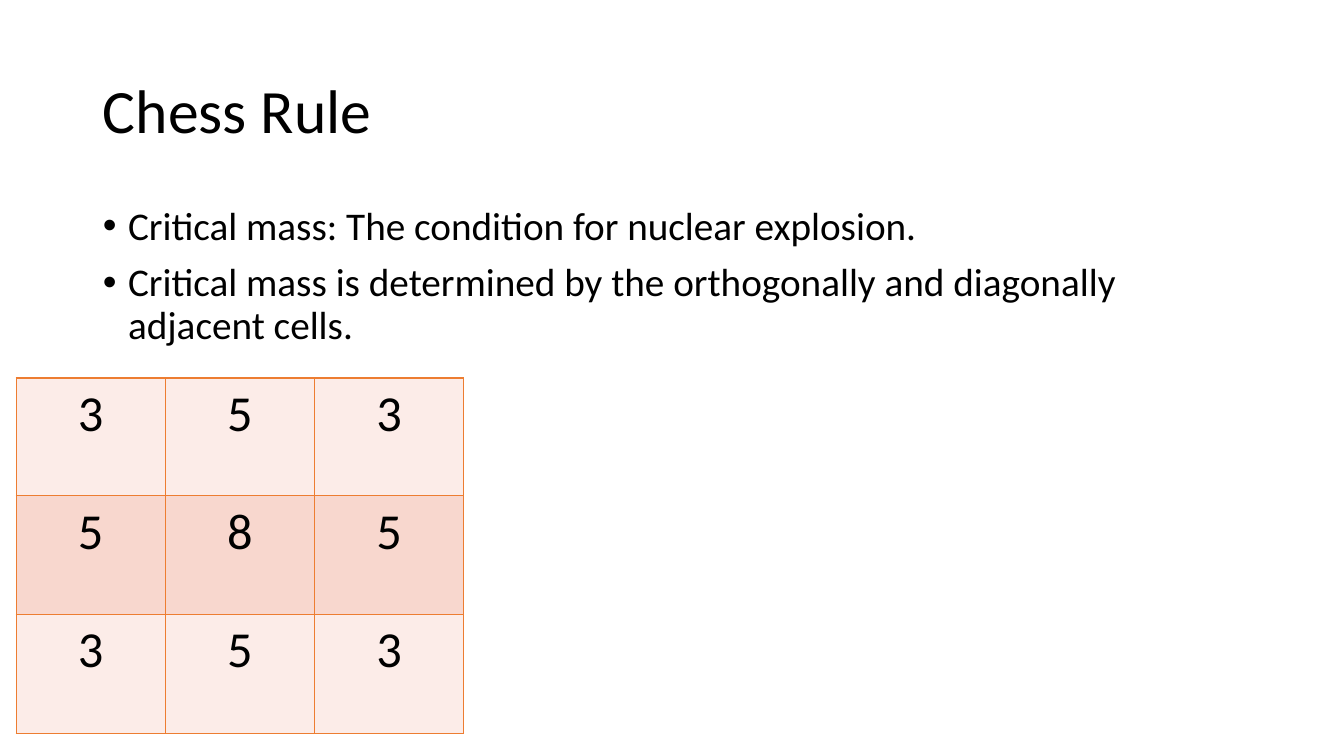
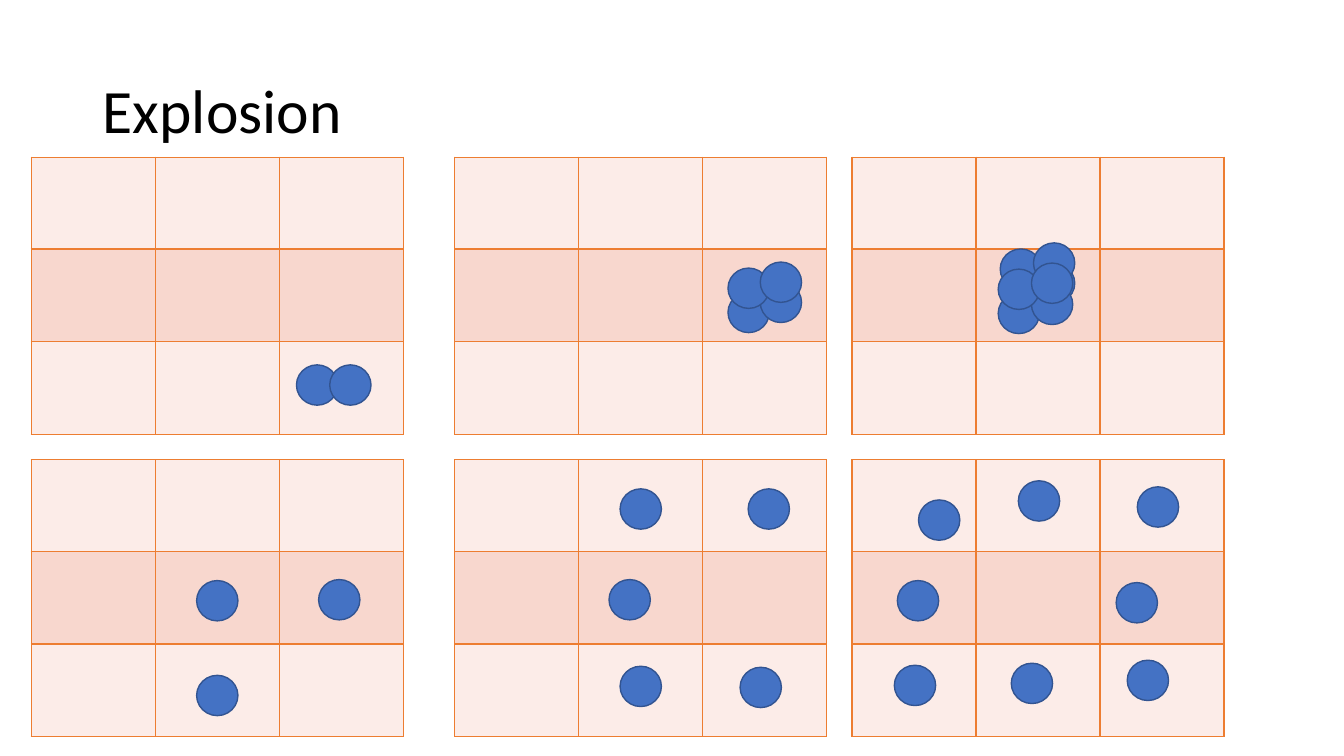
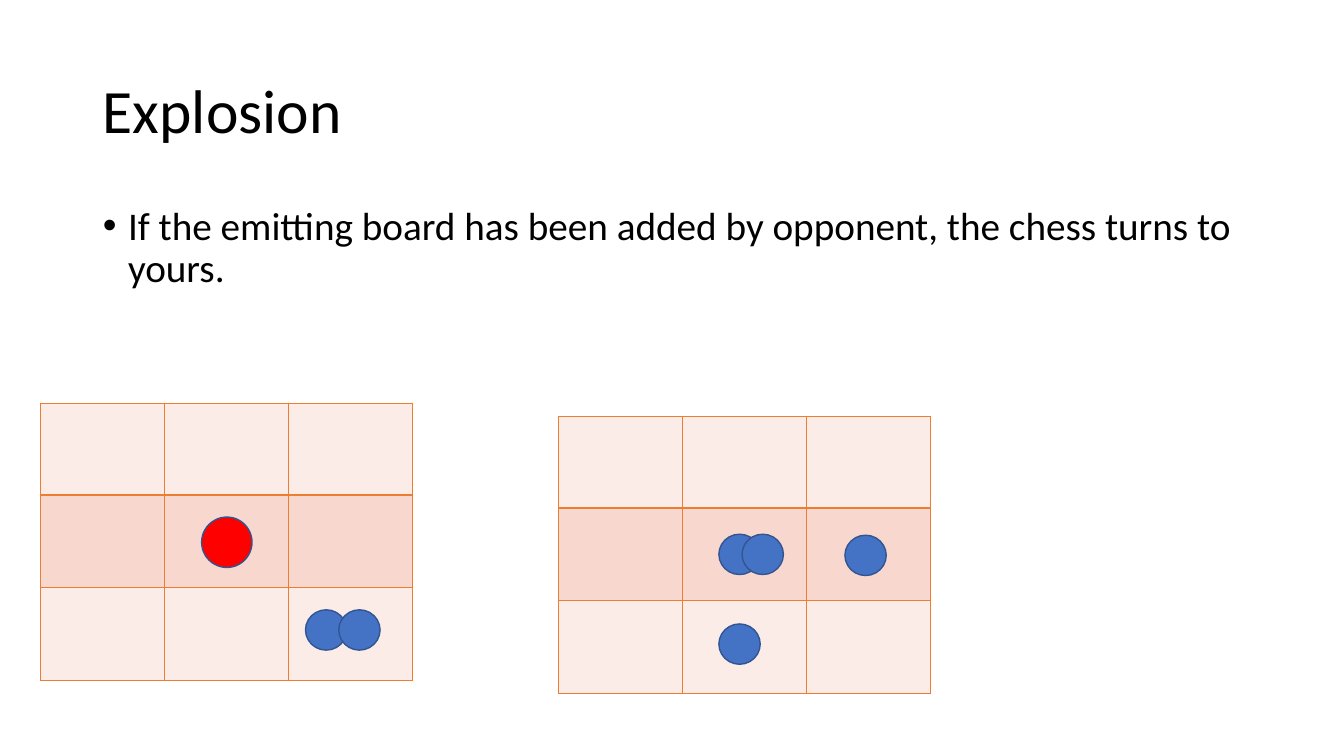
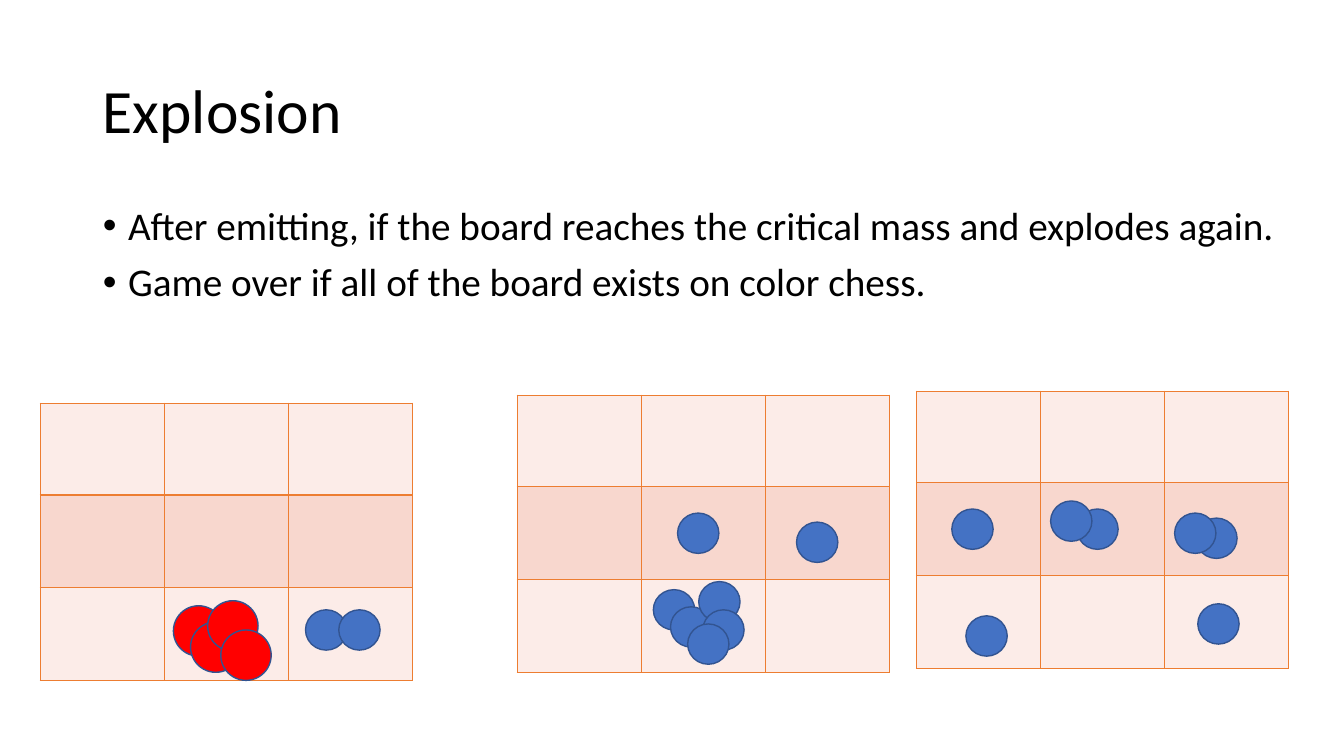
from pptx import Presentation, util as u
from pptx.dml.color import RGBColor
from pptx.enum import shapes, text
from pptx.oxml import parse_xml
from pptx.oxml.ns import nsdecls

PX = 9144  # one px is a hundredth of an inch
FONT, INK = "Calibri", "000000"
EDGE, PALE, DEEP = "ED7D31", "FCECE8", "F8D7CE"
BLUE, RED, RIM = "4472C4", "FF0000", "325491"
SMALL = (123, (91, 92, 92))
LARGE = (148, (117, 118, 118))
DISC = {BLUE: (41, 40), RED: (50, 50)}

TITLE = {"box": (92, 40, 1150, 145), "size": 44, "gap": 0,
         "anchor": text.MSO_ANCHOR.MIDDLE, "indent": 0}
BODY = {"box": (92, 200, 1150, 476), "size": 28, "gap": 10,
        "anchor": text.MSO_ANCHOR.TOP, "indent": 25}

# Boards are (left, top); discs are (colour, [(left, top), ...]) from back to front
pages = [
    {"title": "Chess Rule",
     "list": ["Critical mass: The condition for nuclear explosion.",
              "Critical mass is determined by the orthogonally and diagonally adjacent cells."],
     "grid": LARGE, "boards": [(16, 375)], "marks": ["353", "585", "353"]},
    {"title": "Explosion",
     "boards": [(x, y) for y in (156, 456) for x in (31, 451, 845)],
     "discs": [
         (BLUE, [(294, 362), (327, 362)]),
         (BLUE, [(722, 290), (754, 280), (722, 266), (754, 260)]),
         (BLUE, [(1025, 261), (992, 247), (1025, 241), (990, 291),
                 (1023, 282), (990, 267), (1023, 261)]),
         (BLUE, [(195, 670), (316, 575), (195, 576)]),
         (BLUE, [(615, 661), (604, 575), (734, 662), (742, 485), (615, 485)]),
         (BLUE, [(1010, 477), (890, 576), (1128, 483), (1003, 658),
                 (1118, 655), (911, 496), (1107, 578), (887, 660)])]},
    {"title": "Explosion",
     "list": ["If the emitting board has been added by opponent, the chess turns to yours."],
     "boards": [(40, 400), (554, 413)],
     "discs": [
         (BLUE, [(303, 605), (336, 605)]),
         (RED, [(200, 513)]),
         (BLUE, [(713, 619), (838, 531), (713, 530), (736, 530)])]},
    {"title": "Explosion",
     "list": ["After emitting, if the board reaches the critical mass and explodes again.",
              "Game over if all of the board exists on color chess."],
     "wide": 1207,
     "boards": [(40, 400), (513, 392), (909, 388)],
     "discs": [
         (BLUE, [(303, 605), (336, 605)]),
         (RED, [(172, 601), (189, 617), (206, 596), (219, 625)]),
         (BLUE, [(672, 509), (790, 518), (648, 585), (665, 602),
                 (693, 577), (697, 605), (682, 619)]),
         (BLUE, [(1068, 505), (1186, 514), (944, 505), (1042, 497),
                 (1165, 509), (1188, 599), (958, 611)])]},
]


def rgb(code):
    return RGBColor.from_string(code)


def write(holder, lines, form):
    """Place a placeholder and fill it with one paragraph a line."""
    for name, val in zip(("left", "top", "width", "height"), form["box"]):
        setattr(holder, name, val * PX)
    frame = holder.text_frame
    frame.text = "\n".join(lines)
    frame.auto_size = text.MSO_AUTO_SIZE.NONE
    frame.vertical_anchor = form["anchor"]
    for para in frame.paragraphs:
        look = {"alignment": text.PP_ALIGN.LEFT, "line_spacing": 0.9,
                "space_before": u.Pt(form["gap"])}
        for name, val in look.items():
            setattr(para, name, val)
        prop = para._p.get_or_add_pPr()
        prop.set("marL", str(form["indent"] * PX))
        prop.set("indent", str(-form["indent"] * PX))
        font = para.runs[0].font
        font.name, font.size = FONT, u.Pt(form["size"])
        font.color.rgb = rgb(INK)


deck = Presentation()
deck.slide_width, deck.slide_height = 1333 * PX, 750 * PX

for page in pages:
    # Title and list
    items = page.get("list")
    slide = deck.slides.add_slide(deck.slide_layouts[1 if items else 5])
    write(slide.shapes.title, [page["title"]], TITLE)
    if items:
        left, top, wide, high = BODY["box"]
        box = (left, top, page.get("wide", wide), high)
        write(slide.placeholders[1], items, {**BODY, "box": box})

    # Boards
    side, rows = page.get("grid", SMALL)
    for left, top in page["boards"]:
        size = (left, top, 3 * side, sum(rows))
        grid = slide.shapes.add_table(3, 3, *(n * PX for n in size)).table
        grid.first_row = grid.horz_banding = False
        for r, high in enumerate(rows):
            grid.rows[r].height = high * PX
            for c in range(3):
                grid.columns[c].width = side * PX
                cell = grid.cell(r, c)
                prop = cell._tc.get_or_add_tcPr()
                for edge in "LRTB":
                    prop.append(parse_xml(
                        f'<a:ln{edge} {nsdecls("a")} w="12700"><a:solidFill>'
                        f'<a:srgbClr val="{EDGE}"/></a:solidFill></a:ln{edge}>'))
                cell.fill.solid()
                cell.fill.fore_color.rgb = rgb(DEEP if r == 1 else PALE)
                if "marks" in page:
                    para = cell.text_frame.paragraphs[0]
                    para.alignment = text.PP_ALIGN.CENTER
                    run = para.add_run()
                    run.text = page["marks"][r][c]
                    run.font.name, run.font.size = FONT, u.Pt(36)
                    run.font.color.rgb = rgb(INK)

    # Discs
    for code, spots in page.get("discs", []):
        for spot in spots:
            disc = slide.shapes.add_shape(shapes.MSO_SHAPE.OVAL,
                                          *(n * PX for n in spot + DISC[code]))
            disc.shadow.inherit = False
            disc.fill.solid()
            disc.fill.fore_color.rgb = rgb(code)
            disc.line.color.rgb = rgb(RIM)
            disc.line.width = u.Pt(1)

deck.save("out.pptx")
